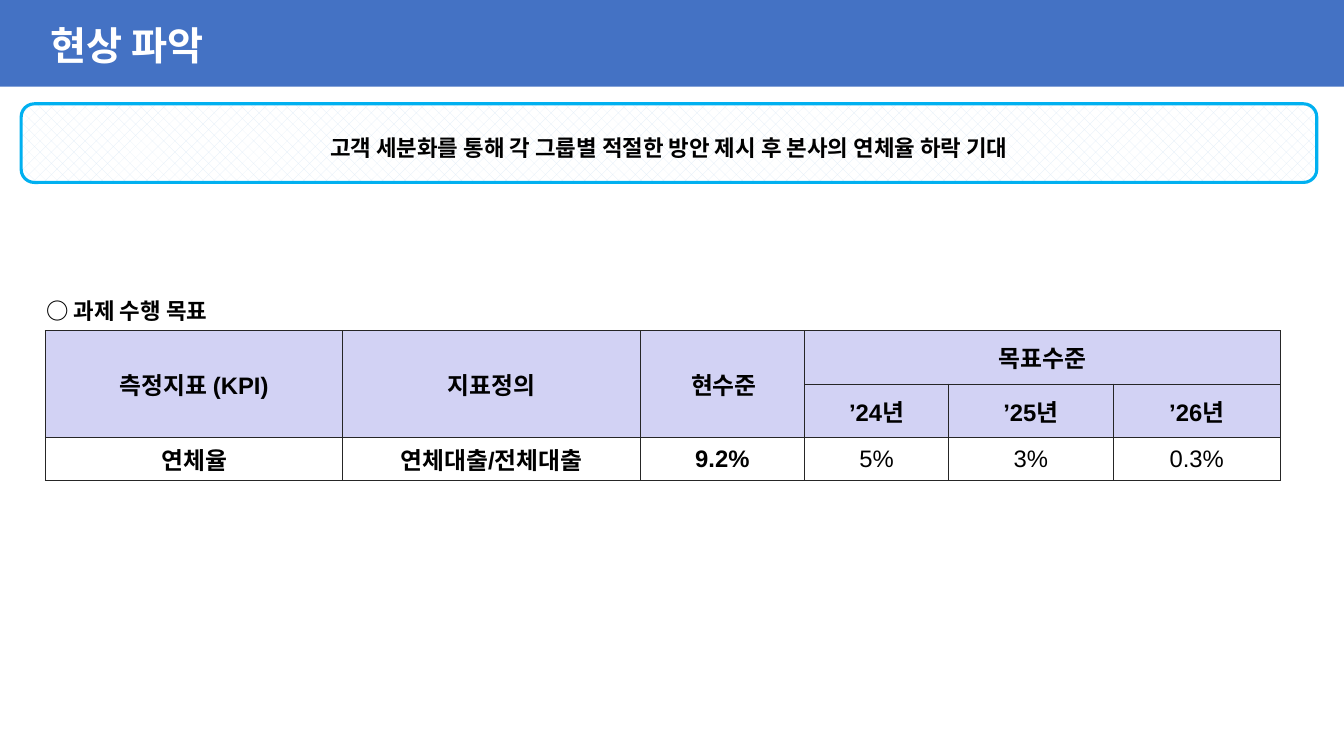
import pptx
import pptx.dml.color
import pptx.enum.dml
import pptx.enum.shapes
import pptx.enum.text
import pptx.oxml
import pptx.oxml.ns
import pptx.util

Inches = pptx.util.Inches
RGBColor = pptx.dml.color.RGBColor
Anchor = pptx.enum.text.MSO_ANCHOR
Align = pptx.enum.text.PP_ALIGN
AutoSize = pptx.enum.text.MSO_AUTO_SIZE
ShapeType = pptx.enum.shapes.MSO_SHAPE

BLUE = RGBColor(0x44, 0x72, 0xC4)
CYAN = RGBColor(0x00, 0xB0, 0xF0)
PALE_BLUE = RGBColor(0xDE, 0xEB, 0xF7)
LAVENDER = RGBColor(0xD2, 0xD2, 0xF4)
WHITE = RGBColor(0xFF, 0xFF, 0xFF)
BLACK = RGBColor(0x00, 0x00, 0x00)
BORDER = RGBColor(0x26, 0x26, 0x26)

KOREAN_FONT = "Noto Sans CJK KR"
COLUMN_WIDTHS = [2.95, 2.95, 1.63, 1.43, 1.63, 1.66]
ROW_HEIGHTS = [0.53, 0.53, 0.43]
HEADER_ROWS = 2
GOAL_ROWS = [
    ["측정지표 (KPI)", "지표정의", "현수준", "목표수준", "", ""],
    ["", "", "", "’24년", "’25년", "’26년"],
    ["연체율", "연체대출/전체대출", "9.2%", "5%", "3%", "0.3%"],
]


def write_text(frame, text, size=16, font=KOREAN_FONT, color=BLACK, bold=True,
               align=Align.LEFT, spacing=1.0):
    """Write one formatted paragraph into a text frame."""
    paragraph = frame.paragraphs[0]
    paragraph.alignment = align
    paragraph.line_spacing = spacing
    run = paragraph.add_run()
    run.text = text
    run.font.size = pptx.util.Pt(size)
    run.font.name = font
    run.font.bold = bold
    run.font.color.rgb = color
    east_asian = pptx.oxml.parse_xml(
        f'<a:ea {pptx.oxml.ns.nsdecls("a")} typeface="{KOREAN_FONT}"/>')
    run.font._element.find(pptx.oxml.ns.qn("a:latin")).addnext(east_asian)


def place(shape, left, top, width, height):
    """Move and size a shape in inches."""
    shape.left, shape.top = Inches(left), Inches(top)
    shape.width, shape.height = Inches(width), Inches(height)


def set_insets(holder, inset):
    """Give a text frame or cell equal insets in inches."""
    holder.margin_left = holder.margin_right = Inches(inset)
    holder.margin_top = holder.margin_bottom = Inches(inset)


def add_title_bar(slide, left, top, width, height):
    """Put the coloured band behind the slide title."""
    band = slide.shapes.add_shape(
        ShapeType.RECTANGLE, Inches(left), Inches(top), Inches(width), Inches(height))
    band.shadow.inherit = False
    band.fill.solid()
    band.fill.fore_color.rgb = BLUE
    band.line.fill.background()
    title = slide.shapes.title
    title.element.addprevious(band.element)
    place(title, left + 0.4, top + 0.16, 6.35, 0.57)
    frame = title.text_frame
    frame.word_wrap = True
    frame.auto_size = AutoSize.SHAPE_TO_FIT_TEXT
    frame.vertical_anchor = Anchor.TOP
    write_text(frame, "현상 파악", size=28, color=WHITE)


def add_heading(slide, left, top, width, height):
    """Add the heading above the goal table."""
    heading = slide.shapes.add_textbox(
        Inches(left), Inches(top), Inches(width), Inches(height))
    heading.text_frame.word_wrap = True
    set_insets(heading.text_frame, 0)
    write_text(heading.text_frame, "○ 과제 수행 목표")


def add_borders(cell):
    """Draw a thin line on all four sides of a cell."""
    properties = cell._tc.get_or_add_tcPr()
    for side in "LRTB":
        properties.append(pptx.oxml.parse_xml(
            f'<a:ln{side} {pptx.oxml.ns.nsdecls("a")} w="{pptx.util.Pt(0.75)}">'
            f'<a:solidFill><a:srgbClr val="{BORDER}"/></a:solidFill></a:ln{side}>'))


def add_goal_table(slide, left, top):
    """Add the table of indicators and yearly targets."""
    table = slide.shapes.add_table(
        len(ROW_HEIGHTS), len(COLUMN_WIDTHS), Inches(left), Inches(top),
        Inches(sum(COLUMN_WIDTHS)), Inches(sum(ROW_HEIGHTS))).table
    table.first_row = table.horz_banding = False
    for column, width in zip(table.columns, COLUMN_WIDTHS):
        column.width = Inches(width)
    for row, height in zip(table.rows, ROW_HEIGHTS):
        row.height = Inches(height)
    for row_index, texts in enumerate(GOAL_ROWS):
        is_header = row_index < HEADER_ROWS
        for column_index, text in enumerate(texts):
            cell = table.cell(row_index, column_index)
            add_borders(cell)
            cell.fill.solid()
            cell.fill.fore_color.rgb = LAVENDER if is_header else WHITE
            cell.vertical_anchor = Anchor.MIDDLE
            set_insets(cell, 0.02 if is_header else 0)
            if text:
                write_text(cell.text_frame, text, size=17, font="Arial",
                           bold=is_header or column_index < 3, align=Align.CENTER)
    for column_index in range(3):
        table.cell(0, column_index).merge(table.cell(1, column_index))
    table.cell(0, 3).merge(table.cell(0, 5))
    table.cell(0, 2).margin_left = Inches(0.05)


def add_message_box(slide, left, top, width, height):
    """Add the rounded box with the key message."""
    box = slide.shapes.add_shape(
        ShapeType.ROUNDED_RECTANGLE, Inches(left), Inches(top), Inches(width), Inches(height))
    box.shadow.inherit = False
    box.fill.patterned()
    box.fill.pattern = pptx.enum.dml.MSO_PATTERN.PERCENT_25
    box.fill.fore_color.rgb = PALE_BLUE
    box.fill.back_color.rgb = WHITE
    box.line.color.rgb = CYAN
    box.line.width = pptx.util.Pt(2.25)
    box.text_frame.word_wrap = True
    box.text_frame.vertical_anchor = Anchor.MIDDLE
    write_text(box.text_frame, "고객 세분화를 통해 각 그룹별 적절한 방안 제시 후 본사의 연체율 하락 기대",
               align=Align.CENTER, spacing=1.3)


def main():
    """Build the slide and save the presentation."""
    presentation = pptx.Presentation()
    presentation.slide_width = Inches(13.33)
    presentation.slide_height = Inches(7.5)
    slide = presentation.slides.add_slide(presentation.slide_layouts[5])
    add_title_bar(slide, 0, 0, 13.33, 0.86)
    add_heading(slide, 0.46, 2.95, 12.63, 0.97)
    add_goal_table(slide, 0.45, 3.28)
    add_message_box(slide, 0.21, 1.03, 12.85, 0.78)
    presentation.save("out.pptx")


if __name__ == "__main__":
    main()
